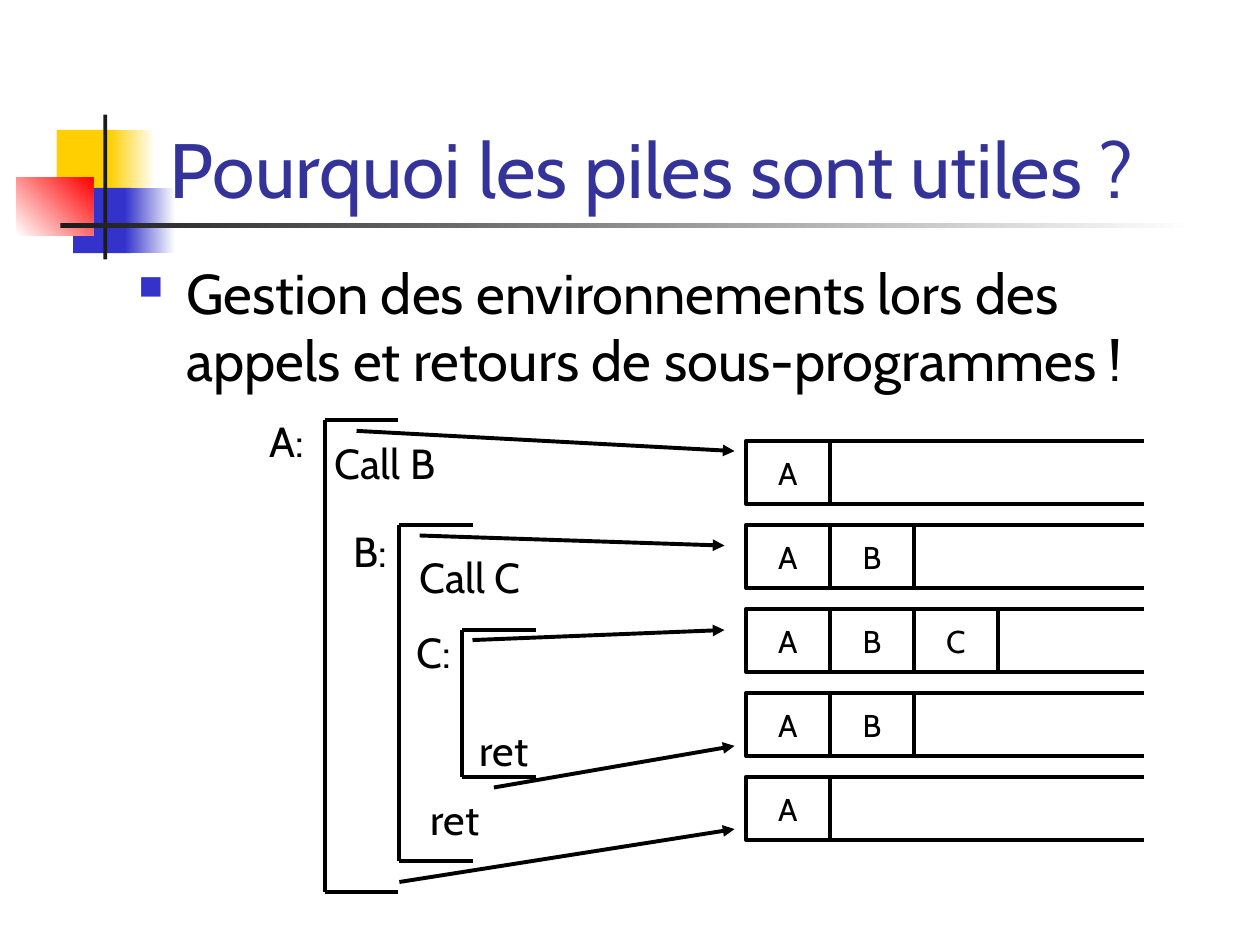
from dataclasses import dataclass
from typing import Optional

from lxml import etree
from pptx import Presentation
from pptx.dml.color import RGBColor
from pptx.enum.shapes import MSO_CONNECTOR, MSO_SHAPE
from pptx.enum.text import MSO_ANCHOR, MSO_AUTO_SIZE, PP_ALIGN
from pptx.oxml.ns import qn
from pptx.util import Inches, Pt

RECTANGLE = MSO_SHAPE.RECTANGLE
STRAIGHT = MSO_CONNECTOR.STRAIGHT
LEFT, CENTER, RIGHT = PP_ALIGN.LEFT, PP_ALIGN.CENTER, PP_ALIGN.RIGHT
TOP, MIDDLE, BOTTOM = MSO_ANCHOR.TOP, MSO_ANCHOR.MIDDLE, MSO_ANCHOR.BOTTOM
FIT_SHAPE = MSO_AUTO_SIZE.SHAPE_TO_FIT_TEXT


@dataclass(frozen=True)
class Theme:
    font: str = "Cabin"
    title: str = "333399"
    ink: str = "000000"
    white: str = "FFFFFF"
    yellow: str = "FFCF01"
    blue: str = "3333CC"
    red: str = "FF0000"
    rule: str = "1C1C1C"
    title_size: int = 44
    body_size: int = 32
    label_size: int = 24
    cell_size: int = 18
    line_width: float = 2.25


@dataclass(frozen=True)
class Block:
    left: float
    top: float
    width: float
    height: float
    color: str
    end_color: Optional[str] = None
    angle: int = 0


@dataclass(frozen=True)
class Bracket:
    left: float
    top: float
    bottom: float


@dataclass(frozen=True)
class Label:
    text: str
    left: float
    top: float
    width: float
    alignment: PP_ALIGN = LEFT


@dataclass(frozen=True)
class Arrow:
    start_x: float
    start_y: float
    end_x: float
    end_y: float


THEME = Theme()
STACK_LEFT, STACK_TOP, STACK_RIGHT = 5.92, 3.5, 9.08
STACK_PITCH = CELL_WIDTH = 2 / 3
CELL_HEIGHT = 0.5
BRACKET_ARM = 0.58

BLOCKS = (
    Block(0.45, 1.03, 0.48, 0.52, THEME.yellow),
    Block(0.87, 1.03, 0.36, 0.52, THEME.yellow, THEME.white),
    Block(0.58, 1.49, 0.46, 0.52, THEME.blue),
    Block(0.99, 1.49, 0.4, 0.52, THEME.blue, THEME.white),
    Block(0.13, 1.41, 0.61, 0.46, THEME.white, THEME.red, 45),
    Block(0.82, 0.91, 0.03, 1.15, THEME.rule),
    Block(0.48, 1.77, 9, 0.04, THEME.rule, THEME.white),
)
STACKS = ("A", "AB", "ABC", "AB", "A")
BRACKETS = (
    Bracket(2.58, 3.33, 7.08),
    Bracket(3.17, 4.17, 6.83),
    Bracket(3.67, 5, 6.17),
)
LABELS = (
    Label("A:", 2.01, 3.25, 0.5, RIGHT),
    Label("Call B", 2.56, 3.42, 1.07),
    Label("B:", 2.67, 4.12, 0.5, RIGHT),
    Label("Call C", 3.23, 4.33, 1.06),
    Label("C:", 3.18, 4.92, 0.5, RIGHT),
    Label("ret", 3.71, 5.7, 0.64),
    Label("ret", 3.32, 6.25, 0.64),
)
ARROWS = (
    Arrow(2.83, 3.42, 5.83, 3.58),
    Arrow(3.33, 4.25, 5.75, 4.33),
    Arrow(3.75, 5.08, 5.75, 5),
    Arrow(3.92, 6.25, 5.83, 5.92),
    Arrow(3.17, 7, 5.83, 6.58),
)


def rgb(color: str) -> RGBColor:
    return RGBColor.from_string(color)


def write(frame, text: str, size: int, color: str = THEME.ink, alignment: PP_ALIGN = LEFT,
          anchor: MSO_ANCHOR = TOP, wrap: bool = False):
    frame.word_wrap = wrap
    frame.vertical_anchor = anchor
    paragraph = frame.paragraphs[0]
    paragraph.alignment = alignment
    run = paragraph.add_run()
    run.text = text
    run.font.name = THEME.font
    run.font.size = Pt(size)
    run.font.color.rgb = rgb(color)
    return paragraph


def add_text(slide, left: float, top: float, width: float, height: float):
    box = slide.shapes.add_textbox(Inches(left), Inches(top), Inches(width), Inches(height))
    return box.text_frame


def add_rectangle(shapes, left: float, top: float, width: float, height: float):
    shape = shapes.add_shape(RECTANGLE, Inches(left), Inches(top), Inches(width), Inches(height))
    shape.shadow.inherit = False
    return shape


def add_block(slide, block: Block) -> None:
    shape = add_rectangle(slide.shapes, block.left, block.top, block.width, block.height)
    shape.line.fill.background()
    if block.end_color is None:
        shape.fill.solid()
        shape.fill.fore_color.rgb = rgb(block.color)
        return
    shape.fill.gradient()
    shape.fill.gradient_angle = block.angle
    for stop, color in zip(shape.fill.gradient_stops, (block.color, block.end_color)):
        stop.color.rgb = rgb(color)


def add_line(shapes, start_x: float, start_y: float, end_x: float, end_y: float):
    line = shapes.add_connector(
        STRAIGHT, Inches(start_x), Inches(start_y), Inches(end_x), Inches(end_y))
    line.line.color.rgb = rgb(THEME.ink)
    line.line.width = Pt(THEME.line_width)
    etree.SubElement(line._element.spPr, qn("a:effectLst"))
    return line


def add_arrow(slide, arrow: Arrow) -> None:
    line = add_line(slide.shapes, arrow.start_x, arrow.start_y, arrow.end_x, arrow.end_y)
    etree.SubElement(line.line._get_or_add_ln(), qn("a:tailEnd"), type="triangle")


def add_stack(slide, top: float, names: str) -> None:
    shapes = slide.shapes.add_group_shape().shapes
    for column, name in enumerate(names):
        cell = add_rectangle(
            shapes, STACK_LEFT + column * CELL_WIDTH, top, CELL_WIDTH, CELL_HEIGHT)
        cell.fill.background()
        cell.line.color.rgb = rgb(THEME.ink)
        cell.line.width = Pt(THEME.line_width)
        write(cell.text_frame, name, THEME.cell_size, alignment=CENTER, anchor=MIDDLE)
    for edge in (top, top + CELL_HEIGHT):
        add_line(shapes, STACK_LEFT + CELL_WIDTH, edge, STACK_RIGHT, edge)


def add_bracket(slide, bracket: Bracket) -> None:
    shapes = slide.shapes.add_group_shape().shapes
    add_line(shapes, bracket.left, bracket.top, bracket.left, bracket.bottom)
    for edge in (bracket.top, bracket.bottom):
        add_line(shapes, bracket.left, edge, bracket.left + BRACKET_ARM, edge)


def add_bullet(paragraph, indent: float) -> None:
    properties = paragraph._p.get_or_add_pPr()
    properties.set("marL", str(Inches(indent)))
    properties.set("indent", str(-Inches(indent)))
    bullet_color = etree.SubElement(properties, qn("a:buClr"))
    etree.SubElement(bullet_color, qn("a:srgbClr"), val=THEME.blue)
    etree.SubElement(properties, qn("a:buSzPct"), val="60000")
    etree.SubElement(properties, qn("a:buChar"), char="■")


def main() -> None:
    presentation = Presentation()
    presentation.slide_width, presentation.slide_height = Inches(10), Inches(7.5)
    slide = presentation.slides.add_slide(presentation.slide_layouts[6])
    for block in BLOCKS:
        add_block(slide, block)
    write(add_text(slide, 1.25, 0.5, 8.52, 1.25), "Pourquoi les piles sont utiles ?",
          THEME.title_size, THEME.title, anchor=BOTTOM, wrap=True)
    body = write(add_text(slide, 1, 2, 8.79, 5.25),
                 "Gestion des environnements lors des appels et retours de sous-programmes !",
                 THEME.body_size, wrap=True)
    add_bullet(body, 0.38)
    for row, names in enumerate(STACKS):
        add_stack(slide, STACK_TOP + row * STACK_PITCH, names)
    for bracket in BRACKETS:
        add_bracket(slide, bracket)
    for label in LABELS:
        frame = add_text(slide, label.left, label.top, label.width, 0.5)
        write(frame, label.text, THEME.label_size, alignment=label.alignment)
        frame.auto_size = FIT_SHAPE
    for arrow in ARROWS:
        add_arrow(slide, arrow)
    presentation.save("out.pptx")


if __name__ == "__main__":
    main()
